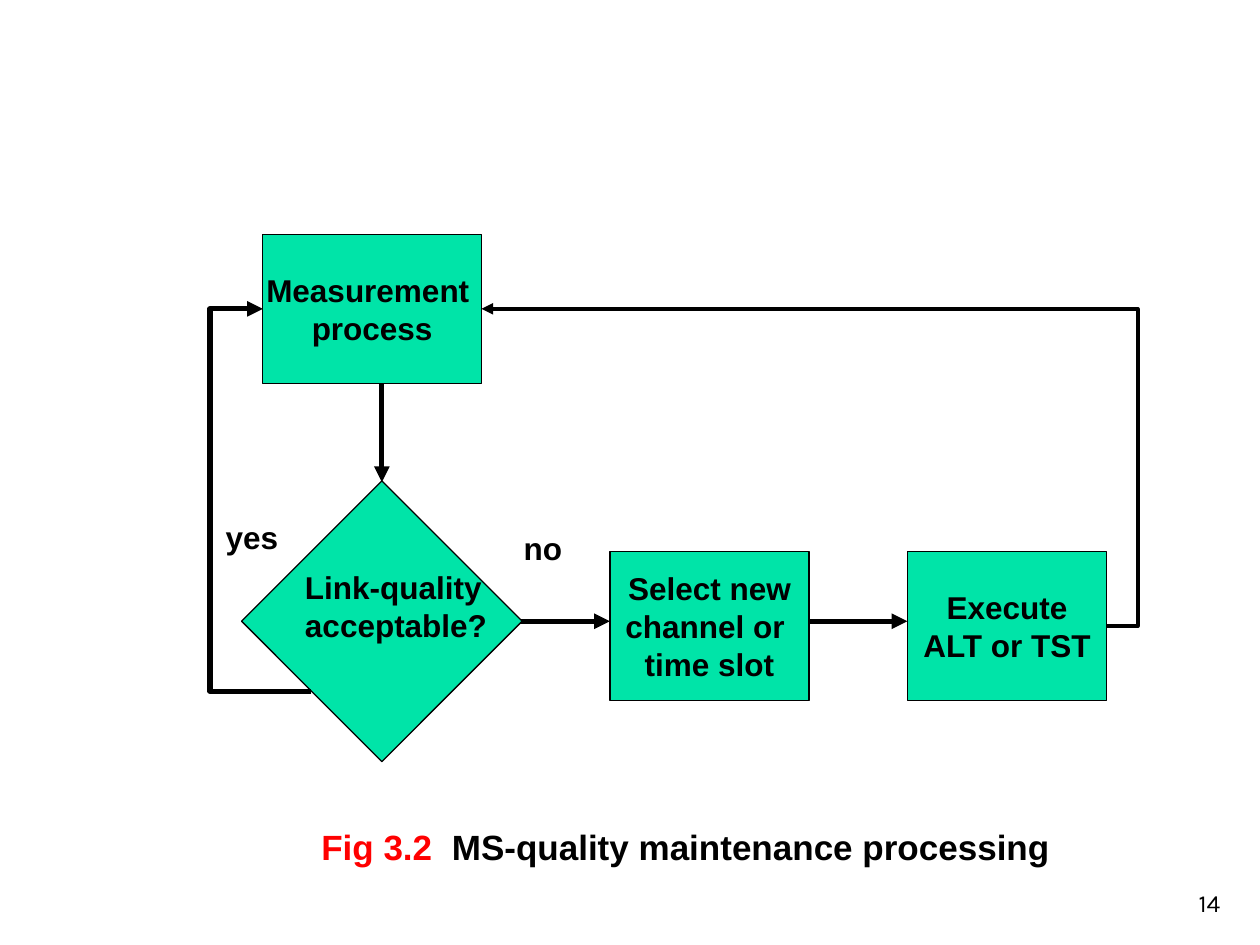
"""Builds the flow chart slide on MS-quality maintenance processing."""
from lxml.etree import SubElement
from pptx import Presentation
from pptx.dml.color import RGBColor
from pptx.enum.shapes import MSO_CONNECTOR as Link, MSO_SHAPE as Shape
from pptx.enum.text import MSO_ANCHOR as Anchor, MSO_AUTO_SIZE as Fit, PP_ALIGN as Align
from pptx.oxml.ns import qn
from pptx.util import Pt

BLACK, RED, GREEN = "000000", "FF0000", "00E4A8"


def color(value):
    return RGBColor.from_string(value)


def write(frame, lines, align=Align.LEFT, anchor=Anchor.TOP, wrap=False,
          size=18, font="Arial", bold=True):
    frame.word_wrap = wrap
    frame.vertical_anchor = anchor
    for index, spans in enumerate(lines):
        para = frame.paragraphs[0] if index == 0 else frame.add_paragraph()
        para.alignment = align
        for text, ink in [(spans, BLACK)] if isinstance(spans, str) else spans:
            span = para.add_run()
            span.text = text
            span.font.name, span.font.size, span.font.bold = font, Pt(size), bold
            span.font.color.rgb = color(ink)


class FlowChart:
    def __init__(self, page, fill=GREEN, ink=BLACK):
        self.page, self.fill, self.ink = page, fill, ink

    def box(self, left, top, width, height, lines=(), rotation=0):
        box = self.page.shapes.add_shape(
            Shape.RECTANGLE, Pt(left), Pt(top), Pt(width), Pt(height))
        box.shadow.inherit = False
        box.rotation = rotation
        box.fill.solid()
        box.fill.fore_color.rgb = color(self.fill)
        box.line.color.rgb = color(self.ink)
        box.line.width = Pt(0.75)
        write(box.text_frame, lines, Align.CENTER, Anchor.MIDDLE)

    def label(self, left, top, width, height, lines, grow=True, **style):
        box = self.page.shapes.add_textbox(Pt(left), Pt(top), Pt(width), Pt(height))
        box.text_frame.auto_size = Fit.SHAPE_TO_FIT_TEXT if grow else Fit.NONE
        write(box.text_frame, lines, **style)

    def arrow(self, start, end, width=3, bend=None):
        kind = Link.STRAIGHT if bend is None else Link.ELBOW
        arrow = self.page.shapes.add_connector(kind, *map(Pt, start + end))
        arrow.line.color.rgb = color(self.ink)
        arrow.line.width = Pt(width)
        properties = arrow.line._get_or_add_ln()
        SubElement(properties, qn("a:tailEnd"), type="triangle")
        SubElement(arrow._element.spPr, qn("a:effectLst"))
        if bend is not None:
            share = (bend - start[0]) / (end[0] - start[0])
            guides = arrow._element.spPr.find(qn("a:prstGeom")).get_or_add_avLst()
            SubElement(guides, qn("a:gd"), name="adj1", fmla=f"val {round(share * 100000)}")


def main():
    deck = Presentation()
    deck.slide_width, deck.slide_height = Pt(720), Pt(540)
    chart = FlowChart(deck.slides.add_slide(deck.slide_layouts[6]))

    chart.label(554.5, 492, 150, 36, ["14"], grow=False, wrap=True, align=Align.RIGHT,
                anchor=Anchor.BOTTOM, size=14, font="Karla", bold=False)

    chart.arrow((218.2, 173.5), (218.2, 275.5))
    for left, right in ((252, 348.5), (422.5, 518.5)):
        chart.arrow((left, 355), (right, 355))

    chart.box(150.2, 134, 125, 85, ["Measurement ", "process"])
    chart.box(348.5, 315.3, 113.8, 85, ["Select new", "channel or ", "time slot"])
    chart.box(518.5, 315.3, 113.8, 85, ["Execute", "ALT or TST"])
    chart.label(121.8, 292.5, 46, 29, ["yes"])
    chart.box(161.5, 298.3, 113.4, 113.4, rotation=45)
    chart.label(167.2, 321, 120, 72, ["Link-quality", "acceptable?"])

    chart.arrow((632.3, 357.8), (275.2, 176.5), width=2.25, bend=650.2)
    chart.arrow((178, 395), (150.2, 176.5), bend=120)
    chart.label(292.2, 298.5, 38, 29, ["no"])
    chart.label(176.5, 468, 433, 31.5, size=20, lines=[
        [("Fig 3.2 ", RED), (" MS-quality maintenance processing", BLACK)]])

    deck.save("out.pptx")


if __name__ == "__main__":
    main()
